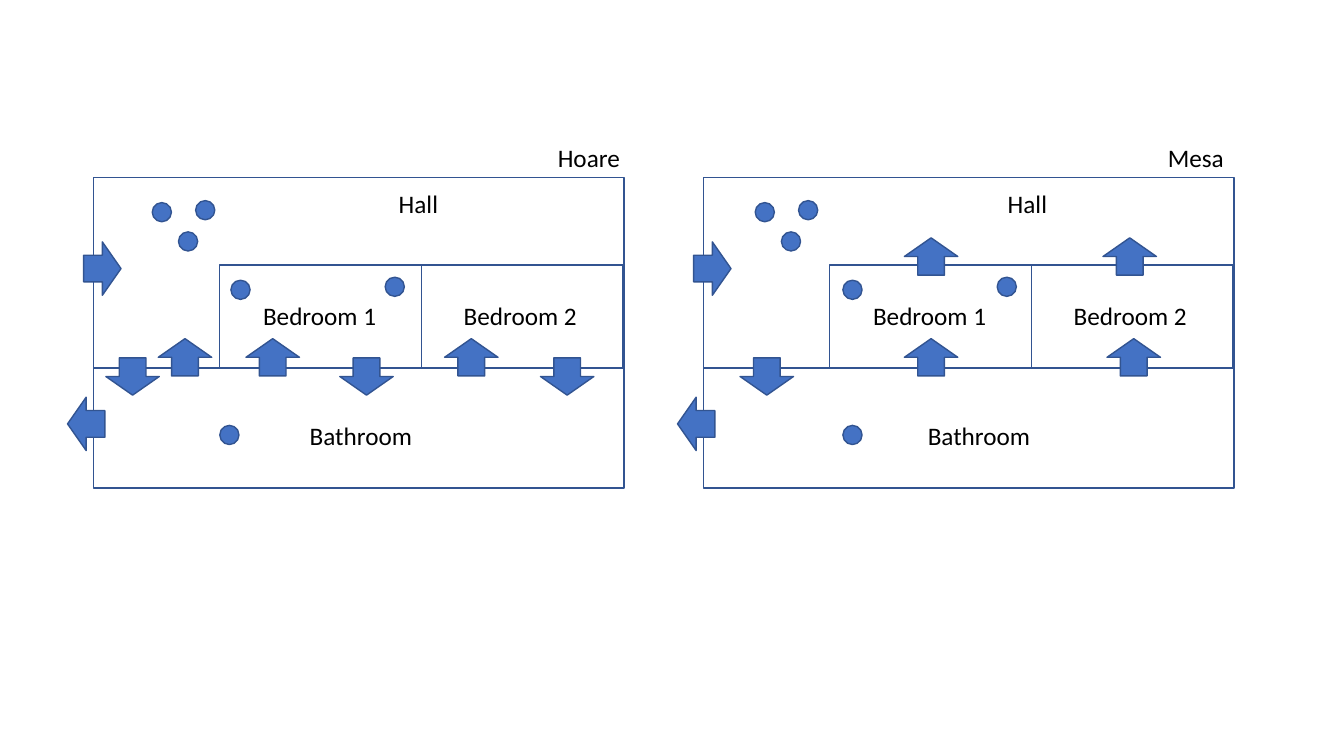
from pptx import Presentation
from pptx.dml.color import RGBColor
from pptx.enum.shapes import MSO_SHAPE
from pptx.enum.text import MSO_ANCHOR, MSO_AUTO_SIZE, PP_ALIGN
from pptx.util import Inches, Pt

RECTANGLE, OVAL, UP_ARROW = MSO_SHAPE.RECTANGLE, MSO_SHAPE.OVAL, MSO_SHAPE.UP_ARROW
CENTER, MIDDLE, GROW = PP_ALIGN.CENTER, MSO_ANCHOR.MIDDLE, MSO_AUTO_SIZE.SHAPE_TO_FIT_TEXT
COLORS = {"fill": "4472C4", "line": "325491", "text": "000000"}
FONT, TEXT_SIZE, LINE_WIDTH = "Calibri", 18, 1
CELL = 0.1
DOOR_SIZE, PERSON_SIZE = (5.3, 3.7), (1.9, 1.9)
UP, RIGHT, DOWN, LEFT = 0, 90, 180, 270
UPPER_WALL, ENTERING, LEAVING = 25.45, 35.45, 37.35

ROOMS = [
    (0, 36.5, 52.6, 11.9),
    (32.5, 26.3, 20, 10.2),
    (12.5, 26.3, 20, 10.2),
    (0, 17.6, 52.6, 18.9),
]
ROOM_LABELS = [("Bedroom 1", 22.4, 31.3, 13.4), ("Bedroom 2", 42.3, 31.3, 13.4)]
OUTER_DOORS = [(0.85, 26.65, RIGHT), (-0.75, 42.05, LEFT)]
HALL_QUEUE = [(6.75, 21.05), (11.05, 20.85), (9.35, 23.95)]
MONITORS = [
    {
        "left": 9.3,
        "labels": [("Hoare", 49.1, 15.6, 8.2), ("Hall", 32.2, 20.2, 6),
                   ("Bathroom", 26.5, 43.2, 12.3)],
        "doors": [(9.05, ENTERING, UP), (17.75, ENTERING, UP), (37.45, ENTERING, UP),
                  (3.85, LEAVING, DOWN), (27.05, LEAVING, DOWN), (46.95, LEAVING, DOWN)],
        "queue_shift": 0,
        "waiting": [(14.55, 28.75), (29.85, 28.45), (13.45, 43.15)],
    },
    {
        "left": 69.8,
        "labels": [("Mesa", 48.8, 15.6, 7.6), ("Hall", 32.1, 20.2, 6),
                   ("Bathroom", 27.3, 43.2, 12.3)],
        "doors": [(22.55, ENTERING, UP), (42.65, ENTERING, UP), (6.25, LEAVING, DOWN),
                  (22.55, UPPER_WALL, UP), (42.25, UPPER_WALL, UP)],
        "queue_shift": -0.7,
        "waiting": [(14.75, 28.75), (30.05, 28.45), (14.75, 43.15)],
    },
]


class FloorPlan:
    """Draws rooms, doors, people and labels on a grid of tenth-inch cells."""

    def __init__(self, slide):
        self.shapes = slide.shapes
        self.left = 0

    def box(self, column, row, columns, rows):
        cells = (self.left + column, row, columns, rows)
        return [Inches(cell * CELL) for cell in cells]

    def centered(self, column, row, size):
        columns, rows = size
        return self.box(column - columns / 2, row - rows / 2, columns, rows)

    def outline(self, kind, box):
        shape = self.shapes.add_shape(kind, *box)
        shape.shadow.inherit = False
        shape.line.color.rgb = RGBColor.from_string(COLORS["line"])
        shape.line.width = Pt(LINE_WIDTH)
        return shape

    def room(self, column, row, columns, rows):
        self.outline(RECTANGLE, self.box(column, row, columns, rows)).fill.background()

    def solid(self, kind, box):
        shape = self.outline(kind, box)
        shape.fill.solid()
        shape.fill.fore_color.rgb = RGBColor.from_string(COLORS["fill"])
        return shape

    def door(self, column, row, direction):
        self.solid(UP_ARROW, self.centered(column, row, DOOR_SIZE)).rotation = direction

    def person(self, column, row):
        self.solid(OVAL, self.centered(column, row, PERSON_SIZE))

    def label(self, words, column, row, columns):
        frame = self.shapes.add_textbox(*self.centered(column, row, (columns, 4))).text_frame
        frame.word_wrap = False
        frame.auto_size = GROW
        frame.vertical_anchor = MIDDLE
        paragraph = frame.paragraphs[0]
        paragraph.alignment = CENTER
        run = paragraph.add_run()
        run.text = words
        run.font.name = FONT
        run.font.size = Pt(TEXT_SIZE)
        run.font.color.rgb = RGBColor.from_string(COLORS["text"])


presentation = Presentation()
presentation.slide_width, presentation.slide_height = Inches(13.33), Inches(7.5)
plan = FloorPlan(presentation.slides.add_slide(presentation.slide_layouts[6]))

for monitor in MONITORS:
    plan.left = monitor["left"]
    for room in ROOMS:
        plan.room(*room)
    for label in ROOM_LABELS + monitor["labels"]:
        plan.label(*label)
    for door in OUTER_DOORS + monitor["doors"]:
        plan.door(*door)
    for column, row in HALL_QUEUE:
        plan.person(column + monitor["queue_shift"], row)
    for person in monitor["waiting"]:
        plan.person(*person)

presentation.save("out.pptx")
